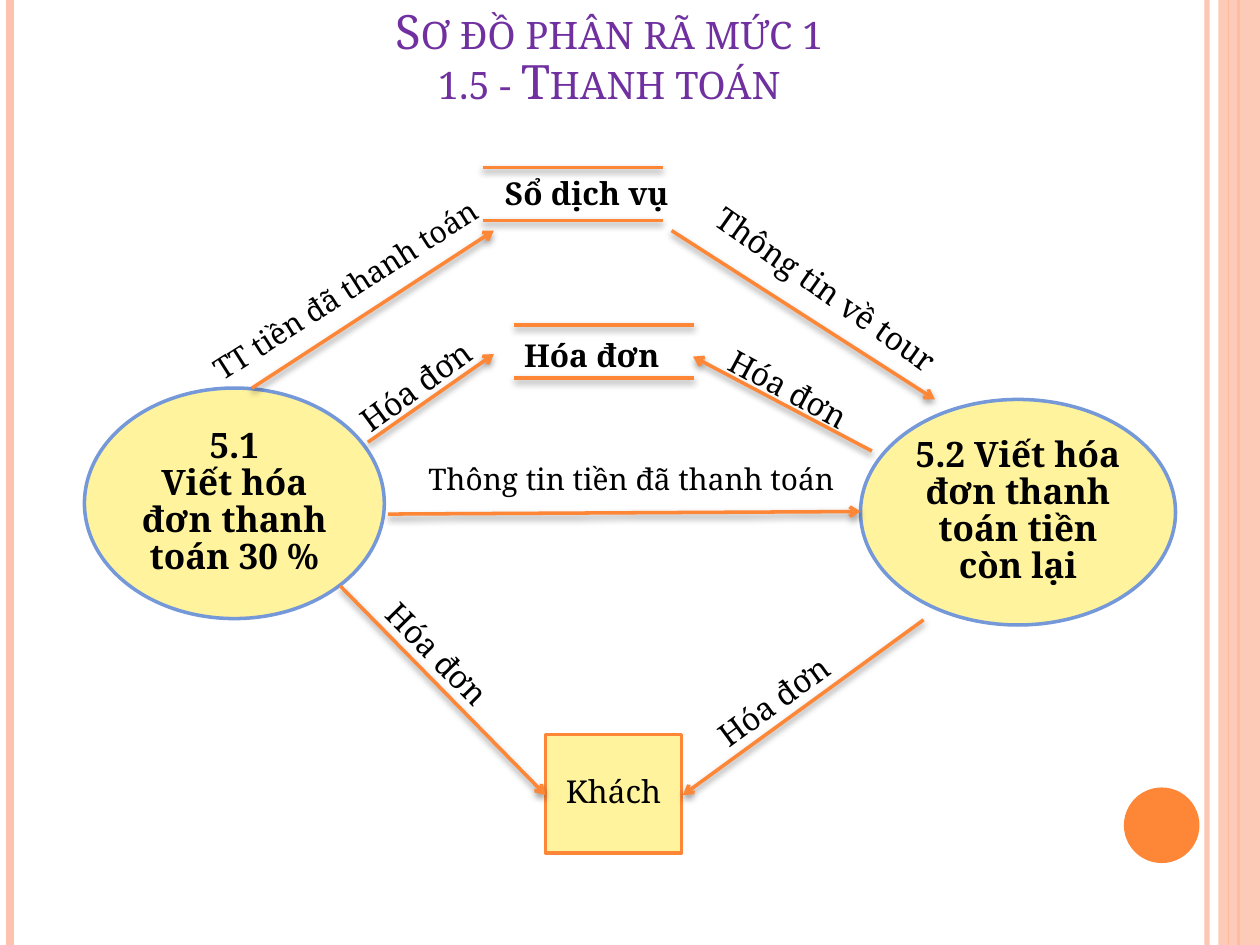
import pptx
import pptx.util
import pptx.dml.color
import pptx.enum.shapes
import pptx.enum.text
import pptx.oxml
import pptx.oxml.ns

Inches, Pt = pptx.util.Inches, pptx.util.Pt
RGB = pptx.dml.color.RGBColor.from_string
SHAPE = pptx.enum.shapes.MSO_SHAPE
ANCHOR = pptx.enum.text.MSO_ANCHOR
ALIGN = pptx.enum.text.PP_ALIGN
NS = pptx.oxml.ns.nsdecls("a")

W, H = 10, 7.5
THEME = {
    "font": "Noto Serif",
    "orange": "FE8637", "peach": "FEC3AE", "yellow": "FFF39D",
    "blue": "7598D9", "purple": "7030A0", "ink": "000000",
    "title": 27, "process": 20, "label": 18, "flow": 17,
    "stroke": 2, "tight": 0.88, "indent": 0.23,
}

TITLE = "Sơ đồ phân rã mức 1\v1.5 - Thanh toán"
RULES = [(9.58, "peach", 3, 93), (0.08, "peach", 4.5, 100),
         (9.83, "orange", 1.5, 100), (9.75, "orange", 0.75, 100)]
NODES = [
    (SHAPE.OVAL, (0.67, 3.08, 2.38, 1.83), "blue", "5.1\nViết hóa đơn thanh toán 30 %", "process", True),
    (SHAPE.OVAL, (6.83, 3.17, 2.5, 1.79), "blue", "5.2 Viết hóa đơn thanh toán tiền còn lại", "process", True),
    (SHAPE.RECTANGLE, (4.33, 5.83, 1.08, 0.94), "orange", "Khách", "label", False),
]
STORES = [
    ("Sổ dịch vụ", 3.83, 1.33, (3.91, 1.33), 0.1),
    ("Hóa đơn", 4.08, 2.58, (3.92, 2.62), 0.24),
]
STORE_W, STORE_H = 1.43, 0.42
FLOWS = [
    ((2, 3.08), (3.92, 1.83)),
    ((2.92, 3.51), (3.92, 2.81)),
    ((6.92, 3.58), (5.5, 2.83)),
    ((7.33, 4.92), (5.42, 6.31)),
    ((2.7, 4.65), (4.33, 6.31)),
    ((5.33, 1.83), (7.42, 3.17)),
    ((3.08, 4.08), (6.83, 4.06)),
]
LABELS = [
    ("Hóa đơn", 2.69, 5.09, 1.76, 45.4, "label"),
    ("Hóa đơn", 5.37, 5.28, 1.76, 323.8, "label"),
    ("TT tiền đã thanh toán", 1.27, 2.01, 3.24, 327.4, "flow"),
    ("Thông tin về tour", 5.25, 2.23, 3, 35.1, "label"),
    ("Thông tin tiền đã thanh toán", 3.17, 3.61, 4.41, 0, "flow"),
    ("Hóa đơn", 2.53, 2.78, 1.76, 323.8, "label"),
    ("Hóa đơn", 5.5, 2.95, 1.76, 28.3, "label"),
]


def apply(obj, values):
    for name, value in values.items():
        setattr(obj, name, value)


def set_alpha(fill, percent):
    for clr in fill.iter(pptx.oxml.ns.qn("a:srgbClr")):
        clr.append(pptx.oxml.parse_xml(f'<a:alpha {NS} val="{percent * 1000}"/>'))


def set_text(sp, text, size, color="ink", bold=False, align=ALIGN.LEFT, spacing=1.0, **frame):
    tf = sp.text_frame
    tf.text = text
    apply(tf, {"word_wrap": True, **frame})
    for p in tf.paragraphs:
        apply(p, {"alignment": align, "line_spacing": spacing})
        for r in p.runs:
            apply(r.font, {"name": THEME["font"], "size": Pt(THEME[size]), "bold": bold})
            r.font.color.rgb = RGB(THEME[color])


def add_shape(slide, kind, box, fill, line=None):
    sp = slide.shapes.add_shape(kind, *map(Inches, box))
    sp.shadow.inherit = False
    sp.fill.solid()
    sp.fill.fore_color.rgb = RGB(THEME[fill])
    if line:
        sp.line.color.rgb = RGB(THEME[line])
        sp.line.width = Pt(THEME["stroke"])
    else:
        sp.line.fill.background()
    return sp


def add_line(slide, start, end, color="orange", width=THEME["stroke"], arrow=False, shadow=True):
    cn = slide.shapes.add_connector(
        pptx.enum.shapes.MSO_CONNECTOR.STRAIGHT, *map(Inches, start + end))
    cn.line.color.rgb = RGB(THEME[color])
    cn.line.width = Pt(width)
    if arrow:
        cn.line._get_or_add_ln().append(pptx.oxml.parse_xml(f'<a:tailEnd {NS} type="arrow"/>'))
    effect = (f'<a:outerShdw blurRad="{Pt(4)}" dist="{Pt(2)}" dir="5400000" rotWithShape="0">'
              '<a:srgbClr val="000000"><a:alpha val="40000"/></a:srgbClr></a:outerShdw>')
    cn._element.spPr.append(pptx.oxml.parse_xml(
        f'<a:effectLst {NS}>{effect if shadow else ""}</a:effectLst>'))
    return cn


def add_label(slide, text, left, top, width, size, indent, rotation=0, bold=False):
    sp = slide.shapes.add_textbox(*map(Inches, (left, top, width, 0.4)))
    sp.rotation = rotation
    set_text(sp, text, size, bold=bold, margin_left=Inches(indent))


def add_frame(slide):
    for x, color, width, alpha in RULES:
        cn = add_line(slide, (x, 0), (x, H), color, width, shadow=False)
        if alpha < 100:
            set_alpha(cn._element.spPr, alpha)
    band = add_shape(slide, SHAPE.RECTANGLE, (9.67, 0, W - 9.67, H), "peach")
    set_alpha(band._element.spPr, 87)
    add_shape(slide, SHAPE.OVAL, (8.92, 6.25, 0.6, 0.6), "orange")


def add_title(slide):
    sp = slide.shapes.title
    apply(sp, dict(zip(("left", "top", "width", "height"), map(Inches, (0, 0.17, 9.67, 0.75)))))
    set_text(sp, TITLE, "title", "purple", align=ALIGN.CENTER, spacing=THEME["tight"],
             vertical_anchor=ANCHOR.BOTTOM)
    for r in sp.text_frame.paragraphs[0].runs:
        r.font._element.set("cap", "small")


def main():
    prs = pptx.Presentation()
    apply(prs, {"slide_width": Inches(W), "slide_height": Inches(H)})
    slide = prs.slides.add_slide(prs.slide_layouts[5])
    add_frame(slide)
    add_title(slide)
    for kind, box, line, text, size, bold in NODES:
        sp = add_shape(slide, kind, box, "yellow", line)
        set_text(sp, text, size, bold=bold, align=ALIGN.CENTER, spacing=THEME["tight"],
                 vertical_anchor=ANCHOR.MIDDLE, margin_left=Inches(0.06), margin_right=Inches(0.06))
    for text, x, y, (left, top), indent in STORES:
        for edge in (y, y + STORE_H):
            add_line(slide, (x, edge), (x + STORE_W, edge))
        add_label(slide, text, left, top, 1.76, "label", indent, bold=True)
    for start, end in FLOWS:
        add_line(slide, start, end, arrow=True)
    for text, left, top, width, rotation, size in LABELS:
        add_label(slide, text, left, top, width, size, THEME["indent"], rotation)
    prs.save("out.pptx")


if __name__ == "__main__":
    main()
